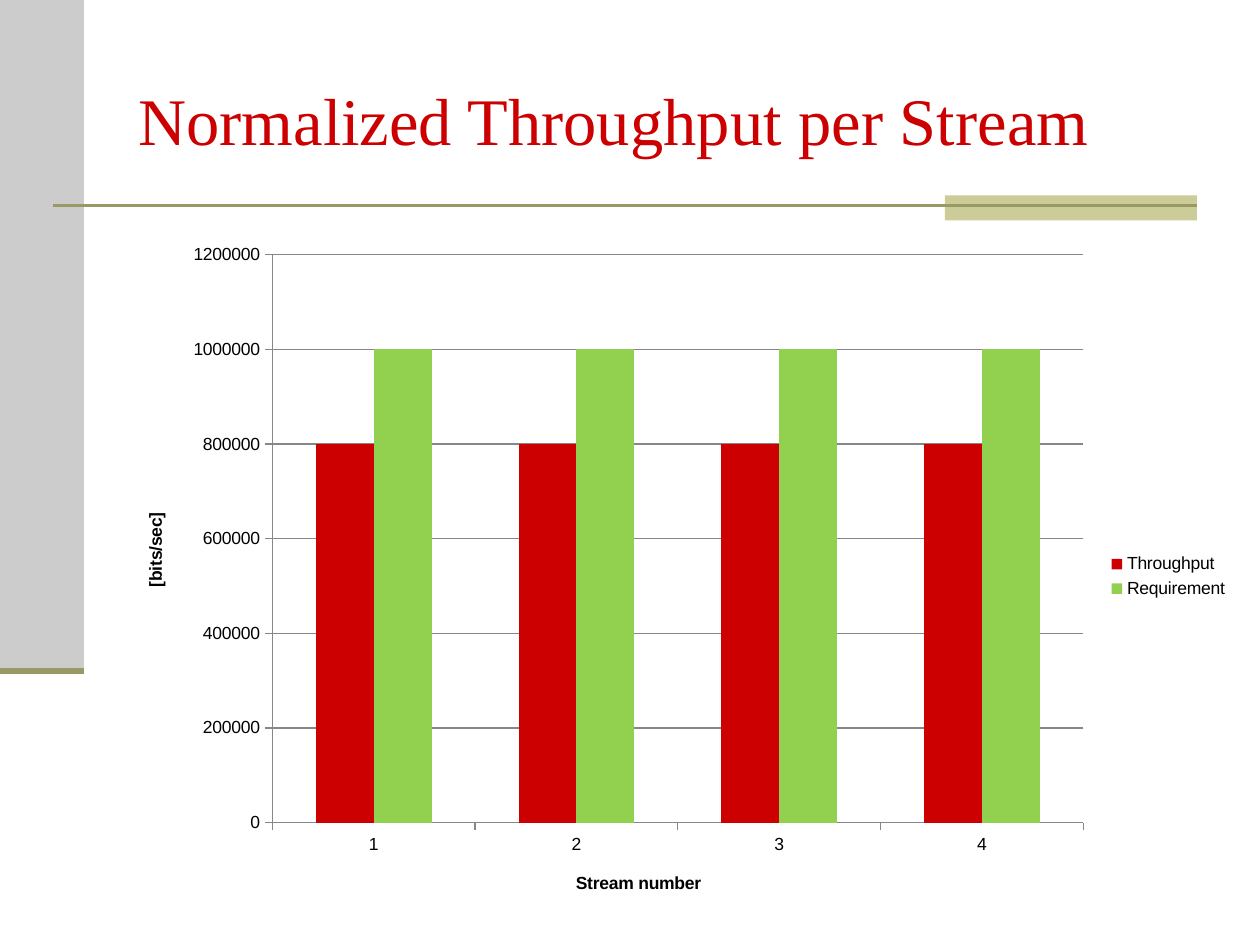
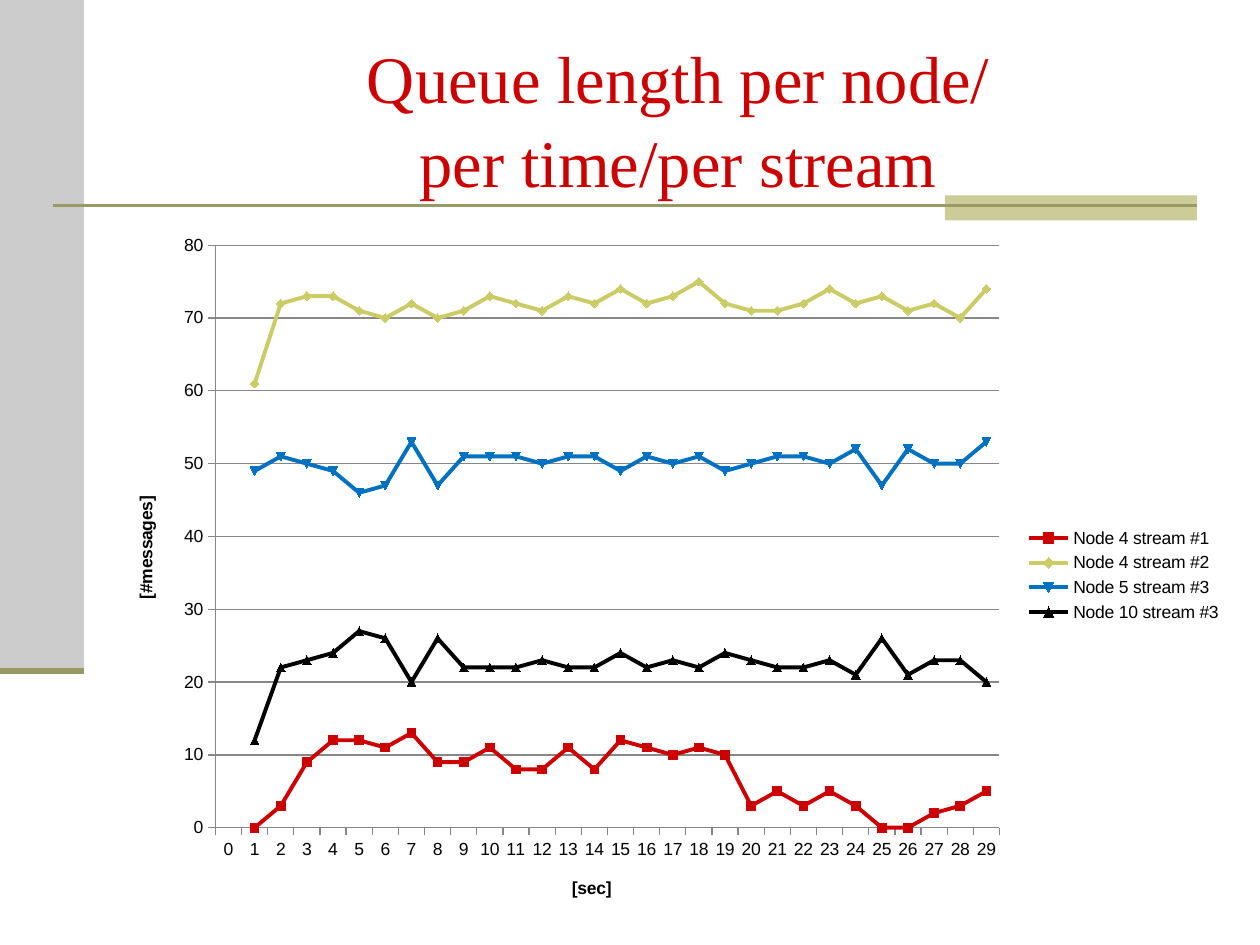
from lxml import etree
from pptx import Presentation
from pptx.chart.data import CategoryChartData
from pptx.dml.color import RGBColor
from pptx.enum.chart import (XL_CHART_TYPE, XL_LEGEND_POSITION,
                             XL_MARKER_STYLE, XL_TICK_MARK)
from pptx.enum.shapes import MSO_CONNECTOR, MSO_SHAPE
from pptx.enum.text import MSO_ANCHOR, PP_ALIGN
from pptx.oxml.ns import qn
from pptx.util import Inches, Pt

BARS = XL_CHART_TYPE.COLUMN_CLUSTERED
LINES = XL_CHART_TYPE.LINE_MARKERS
RIGHT = XL_LEGEND_POSITION.RIGHT
AUTO = XL_MARKER_STYLE.AUTOMATIC
OUT, NONE = XL_TICK_MARK.OUTSIDE, XL_TICK_MARK.NONE
RECT, LINE = MSO_SHAPE.RECTANGLE, MSO_CONNECTOR.STRAIGHT
MIDDLE = MSO_ANCHOR.MIDDLE
LEFT, CENTER = PP_ALIGN.LEFT, PP_ALIGN.CENTER

WIDE, HIGH = 10, 7.5
RED, BLACK, GRAY = "CC0000", "000000", "CCCCCC"
OLIVE, SAND, GRID = "999966", "CCCC99", "878787"
SIDE_W, SIDE_H = WIDE / 15, HIGH * 0.71
EDGE, RULE_Y = 0.95 * WIDE, 1.63

# One entry per slide; "plot" is x, y, width, height as shares of the chart.
SLIDES = [
    {
        "title": "Normalized Throughput per Stream",
        "align": LEFT, "title_w": 8.5,
        "kind": BARS, "box": (0.91, 1.86, 8.94, 5.43),
        "plot": (0.14, 0.03, 0.72, 0.83),
        "x": "Stream number", "y": "[bits/sec]",
        "cats": range(1, 5), "top": 1200000, "step": 200000,
        "series": [
            ("Throughput", RED, [800000] * 4),
            ("Requirement", "92D050", [1000000] * 4),
        ],
    },
    {
        "title": "Queue length per node/\vper time/per stream",
        "align": CENTER, "title_w": 8.77,
        "kind": LINES, "box": (0.91, 1.78, 8.89, 5.57),
        "plot": (0.09, 0.03, 0.7, 0.83),
        "x": "[sec]", "y": "[#messages]",
        "cats": range(30), "top": 80, "step": 10,
        "series": [
            ("Node 4 stream #1", RED,
             [None, 0, 3, 9, 12, 12, 11, 13, 9, 9, 11, 8, 8, 11, 8,
              12, 11, 10, 11, 10, 3, 5, 3, 5, 3, 0, 0, 2, 3, 5]),
            ("Node 4 stream #2", "CCCC66",
             [None, 61, 72, 73, 73, 71, 70, 72, 70, 71, 73, 72, 71, 73, 72,
              74, 72, 73, 75, 72, 71, 71, 72, 74, 72, 73, 71, 72, 70, 74]),
            ("Node 5 stream #3", "0070C0",
             [None, 49, 51, 50, 49, 46, 47, 53, 47, 51, 51, 51, 50, 51, 51,
              49, 51, 50, 51, 49, 50, 51, 51, 50, 52, 47, 52, 50, 50, 53]),
            ("Node 10 stream #3", BLACK,
             [None, 12, 22, 23, 24, 27, 26, 20, 26, 22, 22, 22, 23, 22, 22,
              24, 22, 23, 22, 24, 23, 22, 22, 23, 21, 26, 21, 23, 23, 20]),
        ],
    },
]


def rgb(code):
    """Turn a hex string into a colour."""
    return RGBColor.from_string(code)


def paint(fill, code):
    """Make a fill solid in one colour."""
    fill.solid()
    fill.fore_color.rgb = rgb(code)


def ink(line, code, width):
    """Set the colour and width of a line."""
    line.color.rgb = rgb(code)
    line.width = Pt(width)


def style(font, name, size, code, bold=False):
    """Set all traits of a font."""
    font.name, font.size, font.bold = name, Pt(size), bold
    font.color.rgb = rgb(code)


def block(slide, box, code):
    """Add a plain filled rectangle."""
    shape = slide.shapes.add_shape(RECT, *map(Inches, box))
    shape.shadow.inherit = False
    paint(shape.fill, code)
    shape.line.fill.background()


def rule(slide, left, right, y, width):
    """Add a level olive line."""
    line = slide.shapes.add_connector(LINE, *map(Inches, (left, y, right, y)))
    ink(line.line, OLIVE, width)
    etree.SubElement(line._element.spPr, qn("a:effectLst"))


def frame(slide):
    """Draw the side band, the accent and the rules all slides share."""
    block(slide, (0, 0, SIDE_W, SIDE_H), GRAY)
    block(slide, (EDGE - 2, 1.55, 2, 0.2), SAND)
    rule(slide, 0.42, EDGE, RULE_Y, 1.5)
    rule(slide, 0, SIDE_W, SIDE_H, 3.5)


def head(slide, text, width, align):
    """Add the slide title."""
    box = slide.shapes.add_textbox(*map(Inches, (1, 0.3, width, 1.25)))
    body = box.text_frame
    body.word_wrap, body.vertical_anchor = True, MIDDLE
    body.text = text
    para = body.paragraphs[0]
    para.alignment, para.line_spacing = align, 1.05
    style(para.font, "Times New Roman", 38, RED)


def label(axis, text):
    """Title an axis and style its line and ticks."""
    axis.has_title = True
    body = axis.axis_title.text_frame
    body.text = text
    style(body.paragraphs[0].font, "Arial", 10, BLACK, True)
    axis.major_tick_mark, axis.minor_tick_mark = OUT, NONE
    ink(axis.format.line, GRID, 0.75)


def place(chart, plot):
    """Fix the inner plot area at shares of the chart."""
    area = chart._chartSpace.chart.plotArea
    for old in area.findall(qn("c:layout")):
        area.remove(old)
    layout = etree.Element(qn("c:layout"))
    area.insert(0, layout)
    manual = etree.SubElement(layout, qn("c:manualLayout"))
    parts = [("layoutTarget", "inner"), ("xMode", "edge"), ("yMode", "edge")]
    for tag, val in parts + list(zip("xywh", plot)):
        etree.SubElement(manual, qn("c:" + tag)).set("val", str(val))


def graph(slide, page):
    """Add the chart of one slide."""
    data = CategoryChartData()
    data.categories = [str(cat) for cat in page["cats"]]
    for name, _, vals in page["series"]:
        data.add_series(name, vals)
    box = map(Inches, page["box"])
    chart = slide.shapes.add_chart(page["kind"], *box, data).chart
    style(chart.font, "Arial", 10, BLACK)
    chart.has_title = False
    chart.has_legend = True
    chart.legend.position = RIGHT
    chart.legend.include_in_layout = False
    label(chart.category_axis, page["x"])
    axis = chart.value_axis
    label(axis, page["y"])
    axis.minimum_scale, axis.maximum_scale = 0, page["top"]
    axis.major_unit = page["step"]
    ink(axis.major_gridlines.format.line, GRID, 0.75)
    place(chart, page["plot"])

    plot = chart.plots[0]
    plot.vary_by_categories = False
    if page["kind"] == BARS:
        plot.gap_width = 150
    for series, (_, code, _) in zip(plot.series, page["series"]):
        if page["kind"] == BARS:
            paint(series.format.fill, code)
            continue
        series.smooth = False
        ink(series.format.line, code, 2.25)
        mark = series.marker
        mark.style, mark.size = AUTO, 5
        paint(mark.format.fill, code)
        ink(mark.format.line, code, 0.75)


deck = Presentation()
deck.slide_width, deck.slide_height = Inches(WIDE), Inches(HIGH)
for page in SLIDES:
    slide = deck.slides.add_slide(deck.slide_layouts[6])
    frame(slide)
    head(slide, page["title"], page["title_w"], page["align"])
    graph(slide, page)
deck.save("out.pptx")
